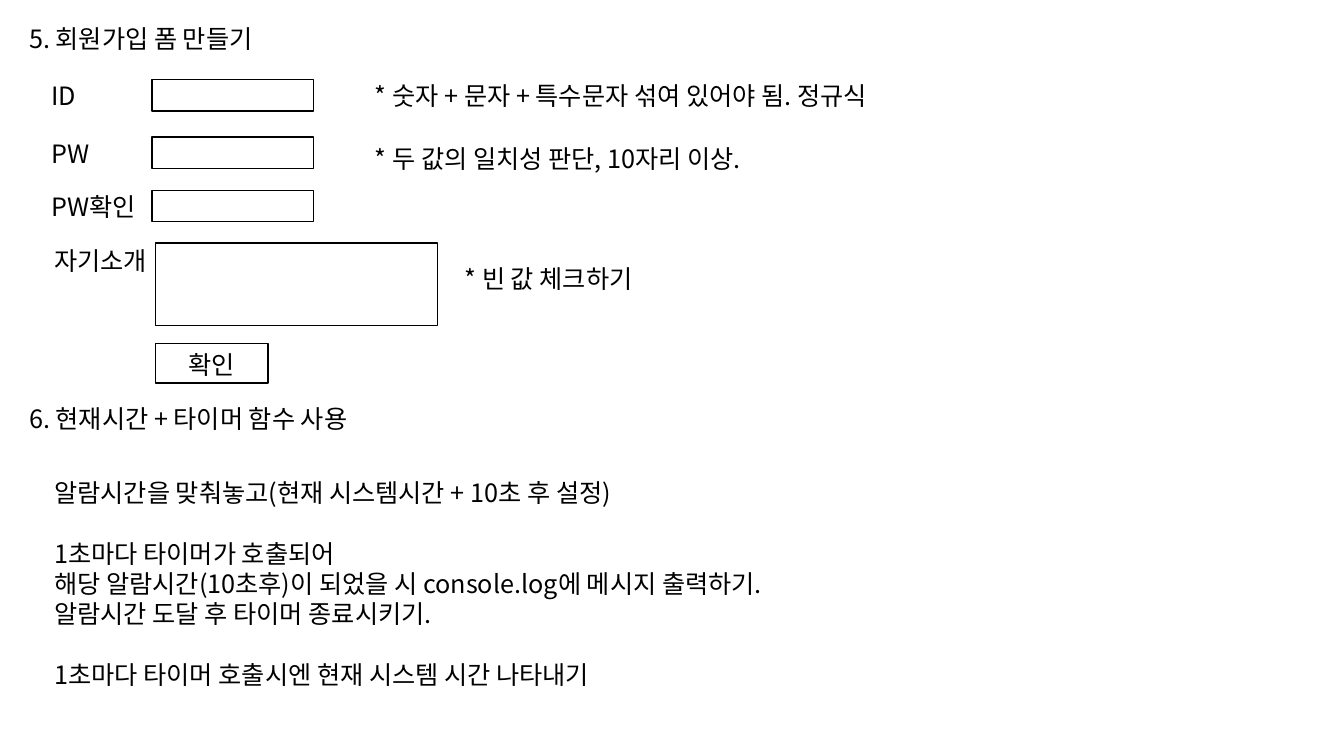
from pptx import Presentation
from pptx.dml.color import RGBColor as RGB
from pptx.enum.shapes import MSO_SHAPE as SHAPE
from pptx.enum.text import MSO_ANCHOR as ANCHOR, MSO_AUTO_SIZE as FIT, PP_ALIGN as ALIGN
from pptx.util import Inches, Pt

THEME = {
    "font": "Noto Sans CJK KR",
    "size": Pt(18),
    "pitch": Pt(21.6),
    "ink": RGB(0, 0, 0),
    "line": Pt(1),
}

deck = Presentation()
deck.slide_width, deck.slide_height = Inches(13.33), Inches(7.5)
slide = deck.slides.add_slide(deck.slide_layouts[6])


def write(shape, text):
    """Fill a shape with text in the theme's type."""
    frame = shape.text_frame
    frame.text = text
    frame.margin_top = Inches(0.06)
    frame.margin_bottom = Inches(0.04)
    for para in frame.paragraphs:
        para.line_spacing = THEME["pitch"]
        for run in para.runs:
            run.font.name = THEME["font"]
            run.font.size = THEME["size"]
            run.font.color.rgb = THEME["ink"]
    return frame


def label(left, top, width, text, height=0.4):
    """Add an unwrapped text box that grows with its text."""
    box = slide.shapes.add_textbox(*map(Inches, (left, top, width, height)))
    frame = write(box, text)
    frame.word_wrap = False
    frame.auto_size = FIT.SHAPE_TO_FIT_TEXT
    return frame


# Form boxes: three inputs, the introduction area and the button
INPUTS = [(1.51, top, 1.6, 0.31) for top in (0.79, 1.36, 1.89)]
AREA = (1.54, 2.41, 2.8, 0.82)
BUTTON = (1.54, 3.41, 1.12, 0.39)
for place in [*INPUTS, AREA, BUTTON]:
    field = slide.shapes.add_shape(SHAPE.RECTANGLE, *map(Inches, place))
    field.shadow.inherit = False
    field.fill.background()
    field.line.color.rgb = THEME["ink"]
    field.line.width = THEME["line"]
    if place == BUTTON:
        frame = write(field, "확인")
        frame.vertical_anchor = ANCHOR.MIDDLE
        frame.paragraphs[0].alignment = ALIGN.CENTER

# Headings, field names and rules
LABELS = [
    (0.19, 0.17, 2.68, "5. 회원가입 폼 만들기"),
    (0.41, 0.74, 0.45, "ID"),
    (0.41, 1.31, 0.59, "PW"),
    (0.41, 1.84, 1.1, "PW확인"),
    (0.44, 2.37, 1.21, "자기소개"),
    (3.62, 0.74, 5.82, "* 숫자 + 문자 + 특수문자 섞여 있어야 됨. 정규식"),
    (3.62, 1.36, 4.26, "* 두 값의 일치성 판단, 10자리 이상."),
    (4.51, 2.55, 2.09, "* 빈 값 체크하기"),
    (0.19, 3.94, 3.8, "6. 현재시간 + 타이머 함수 사용"),
]
for item in LABELS:
    label(*item)

# Timer task: each group after the first starts one line lower
GROUPS = [
    ["알람시간을 맞춰놓고(현재 시스템시간 + 10초 후 설정)"],
    [
        "1초마다 타이머가 호출되어",
        "해당 알람시간(10초후)이 되었을 시 console.log에 메시지 출력하기.",
        "알람시간 도달 후 타이머 종료시키기.",
    ],
    ["1초마다 타이머 호출시엔 현재 시스템 시간 나타내기"],
]
task = label(0.44, 4.68, 7.82, "\n".join(sum(GROUPS, [])), 2.52)
heads = [group[0] for group in GROUPS[1:]]
for para in task.paragraphs:
    if para.text in heads:
        para.space_before = THEME["pitch"]

deck.save("out.pptx")
